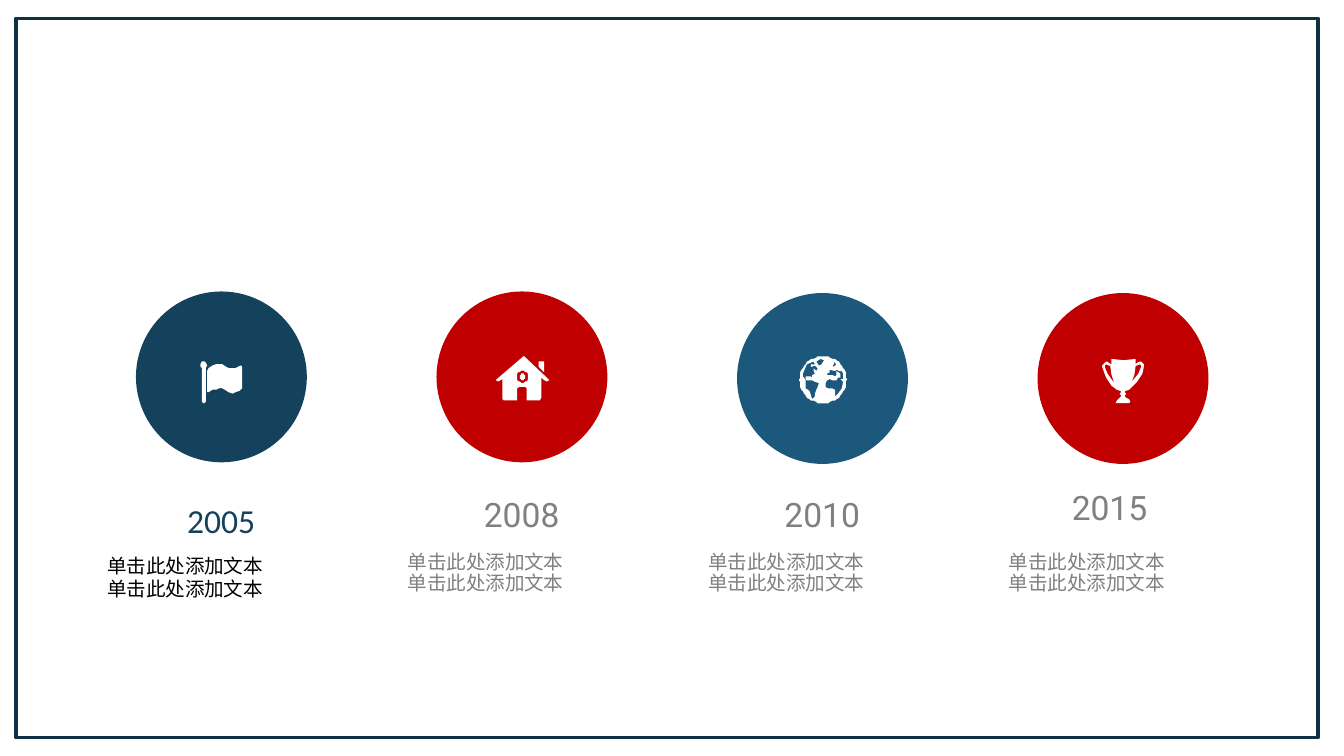
from math import cos, pi, sin

from pptx import Presentation
from pptx.dml.color import RGBColor
from pptx.enum.shapes import MSO_SHAPE
from pptx.enum.text import PP_ALIGN
from pptx.util import Cm, Pt


def ring(x, y, radius, count):
    """Return the corners of a regular polygon around a centre."""
    return [(x + radius * cos(2 * pi * i / count), y + radius * sin(2 * pi * i / count))
            for i in range(count)]


FLAG = [[
    [(53, 55), (52, 57), (52, 82), (51, 83), (50, 83), (49, 82), (49, 57), (48, 56),
     (48, 54), (49, 52), (51, 52), (52, 53)],
    [(78, 55), (79, 56), (79, 72), (77, 74), (74, 75), (72, 76), (69, 75), (66, 73),
     (64, 72), (62, 72), (60, 73), (57, 73), (54, 75), (53, 75), (53, 59), (54, 57),
     (57, 55), (60, 54), (64, 54), (67, 56), (69, 57), (74, 57)],
]]
HOUSE = [
    [[(65, 48), (44, 66), (46, 67), (48, 66), (49, 65), (49, 80), (50, 81), (60, 81),
      (60, 72), (62, 71), (66, 71), (67, 72), (67, 81), (77, 81), (78, 79), (78, 64),
      (80, 66), (82, 67), (84, 66)],
     ring(64, 63.5, 4.5, 24)],
    [[(80, 60), (80, 52), (76, 52), (76, 56)]],
    [ring(64, 63.5, 2.2, 24)],
]
GLOBE = [[
    ring(64, 64.5, 17.5, 60),
    [(60, 70), (59, 72), (58, 75), (58, 77), (56, 79), (55, 76), (54, 73), (53, 72),
     (51, 71), (51, 65), (50, 63), (49, 62), (49, 60), (52, 53), (57, 51), (58, 53),
     (55, 53), (55, 55), (58, 54), (60, 56), (59, 58), (57, 56), (57, 58), (58, 60),
     (56, 61), (56, 63), (55, 62), (51, 62), (51, 64), (52, 65), (56, 65), (58, 66),
     (61, 67)],
    [(64, 51), (63, 53), (61, 54), (59, 51), (62, 49), (65, 50)],
    [(78, 65), (79, 66), (78, 71), (75, 75), (73, 77), (73, 72), (71, 71), (68, 71),
     (66, 70), (66, 67), (67, 65), (69, 64), (71, 65), (74, 65), (75, 63), (77, 63),
     (77, 60), (74, 58), (74, 61), (73, 62), (71, 61), (67, 61), (67, 60), (69, 59),
     (69, 57), (73, 58), (74, 57), (76, 58), (78, 58), (77, 56), (79, 60), (79, 64),
     (77, 64)],
    [(71, 54), (72, 53), (72, 51), (74, 53), (72, 55)],
]]
TROPHY = [[
    [(68, 72), (74, 66), (78, 60), (79, 55), (79, 53), (77, 51), (76, 51), (74, 52),
     (73, 53), (73, 49), (64, 50), (55, 49), (55, 53), (53, 52), (52, 51), (51, 51),
     (48, 54), (48, 55), (51, 63), (55, 69), (59, 72), (62, 73), (62, 74), (61, 75),
     (62, 76), (62, 77), (61, 78), (59, 80), (58, 82), (68, 82), (69, 81), (68, 79),
     (66, 78), (65, 77), (65, 76), (66, 75), (65, 74), (65, 73)],
    [(73, 54), (74, 54), (76, 53), (77, 54), (77, 55), (75, 60), (70, 66), (72, 61)],
    [(57, 67), (52, 60), (50, 55), (50, 54), (51, 53), (53, 54), (54, 54), (55, 61)],
]]

DESCRIPTION = "单击此处添加文本单击此处添加文本"
FIRST_STYLE = dict(year_font="Calibri", year_color="14425D", color="000000", spacing=1.0, inset=0.13)
LATER_STYLE = dict(year_font="Roboto", year_color="808080", color="808080", spacing=0.9, inset=0.1)
MILESTONES = [
    dict(year="2005", icon=FLAG, disc="14425D", disc_top=5.51, shift=(0, 0), style=FIRST_STYLE),
    dict(year="2008", icon=HOUSE, disc="C00000", disc_top=5.51, shift=(0, 0), style=LATER_STYLE),
    dict(year="2010", icon=GLOBE, disc="1B587C", disc_top=5.54, shift=(0, 0), style=LATER_STYLE),
    dict(year="2015", icon=TROPHY, disc="C00000", disc_top=5.54, shift=(-0.25, -0.13), style=LATER_STYLE),
]
PITCH, DISC_LEFT, DISC_SIZE, TEXT_LEFT = 5.68, 2.57, 3.23, 1.73
ICON_UNIT = Cm(2.54) / 100


def paint(shape, color):
    """Give a shape a plain fill without outline or shadow."""
    shape.shadow.inherit = False
    shape.fill.solid()
    shape.fill.fore_color.rgb = RGBColor.from_string(color)
    shape.line.fill.background()


def add_text(slide, text, left, top, width, height, *, font, size, color, spacing, inset):
    """Add a centred text box, measured in centimetres."""
    frame = slide.shapes.add_textbox(Cm(left), Cm(top), Cm(width), Cm(height)).text_frame
    frame.word_wrap = True
    frame.margin_left = frame.margin_right = Cm(0.18)
    frame.margin_top = frame.margin_bottom = Cm(inset)
    paragraph = frame.paragraphs[0]
    paragraph.alignment = PP_ALIGN.CENTER
    paragraph.line_spacing = spacing
    run = paragraph.add_run()
    run.text = text
    run.font.name = font
    run.font.size = Pt(size)
    run.font.color.rgb = RGBColor.from_string(color)


def add_icon(slide, icon, left, top):
    """Draw each part of a white icon, inner outlines being holes."""
    for outlines in icon:
        builder = slide.shapes.build_freeform(*outlines[0][0], scale=ICON_UNIT)
        for outline in outlines:
            builder.move_to(*outline[0])
            builder.add_line_segments(outline[1:], close=True)
        paint(builder.convert_to_shape(Cm(left), Cm(top)), "FFFFFF")


def add_milestone(slide, index, milestone):
    """Add one column: year, description, disc and icon."""
    style = milestone["style"]
    text_left = TEXT_LEFT + index * PITCH
    disc_left = DISC_LEFT + index * PITCH
    shift_x, shift_y = milestone["shift"]
    layout = dict(spacing=style["spacing"], inset=style["inset"])
    add_text(slide, milestone["year"], text_left + shift_x, 9.32 + shift_y, 4.9, 1,
             font=style["year_font"], size=18, color=style["year_color"], **layout)
    add_text(slide, DESCRIPTION, text_left, 10.34, 3.54, 1.96,
             font="Lato", size=10.5, color=style["color"], **layout)
    disc = slide.shapes.add_shape(MSO_SHAPE.OVAL, Cm(disc_left), Cm(milestone["disc_top"]),
                                  Cm(DISC_SIZE), Cm(DISC_SIZE))
    paint(disc, milestone["disc"])
    add_icon(slide, milestone["icon"], disc_left, milestone["disc_top"])


def main():
    """Build the timeline slide and save it."""
    deck = Presentation()
    deck.slide_width, deck.slide_height = Cm(25.4), Cm(14.29)
    slide = deck.slides.add_slide(deck.slide_layouts[6])
    for index, milestone in enumerate(MILESTONES):
        add_milestone(slide, index, milestone)
    border = slide.shapes.add_shape(MSO_SHAPE.RECTANGLE, Cm(0.3), Cm(0.35), Cm(24.61), Cm(13.59))
    border.shadow.inherit = False
    border.fill.background()
    border.line.color.rgb = RGBColor.from_string("0F3145")
    border.line.width = Pt(2)
    deck.save("out.pptx")


if __name__ == "__main__":
    main()
